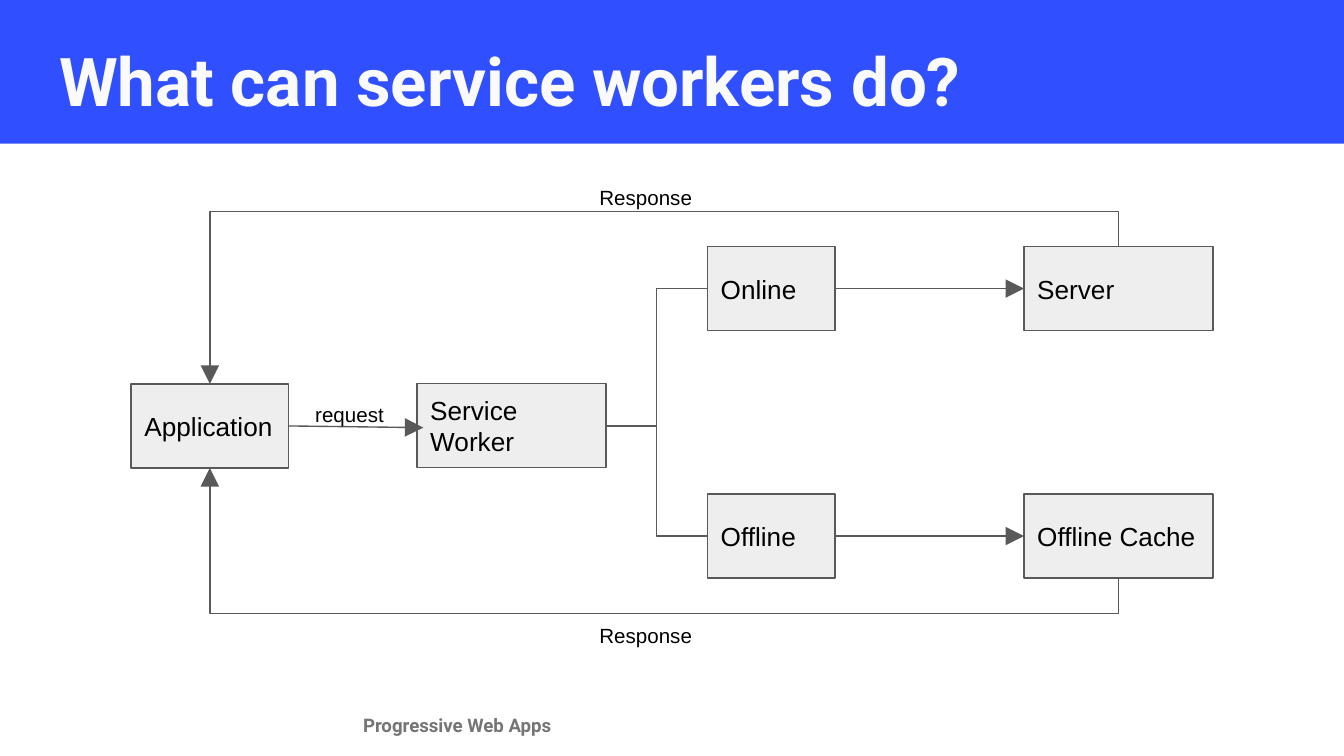
from dataclasses import dataclass

from lxml.etree import SubElement
from pptx import Presentation
from pptx.dml.color import RGBColor
from pptx.enum.shapes import MSO_CONNECTOR, MSO_SHAPE
from pptx.enum.text import MSO_ANCHOR, MSO_AUTO_SIZE, PP_ALIGN
from pptx.oxml.ns import qn
from pptx.util import Pt


@dataclass(frozen=True)
class Theme:
    band: str = "304FFE"
    title: str = "FAFAFA"
    footer: str = "757575"
    box: str = "EEEEEE"
    line: str = "595959"
    text: str = "000000"
    head_font: str = "Roboto"
    body_font: str = "Arial"
    title_size: float = 36
    box_size: float = 14
    label_size: float = 11
    footer_size: float = 10
    line_width: float = 0.75
    inset: float = 7.2


class Diagram:
    def __init__(self, slide, theme):
        self.s, self.t = slide, theme

    def _write(self, sp, text, size, color, font, bold=False, anchor=MSO_ANCHOR.TOP):
        tf = sp.text_frame
        tf.text = text
        tf.word_wrap = True
        tf.auto_size = MSO_AUTO_SIZE.NONE
        tf.vertical_anchor = anchor
        tf.margin_left = tf.margin_right = Pt(self.t.inset)
        tf.margin_top = tf.margin_bottom = Pt(self.t.inset)
        p = tf.paragraphs[0]
        p.alignment = PP_ALIGN.LEFT
        f = p.runs[0].font
        f.name, f.size, f.bold = font, Pt(size), bold
        f.color.rgb = RGBColor.from_string(color)

    def _rect(self, x, y, w, h, fill):
        sp = self.s.shapes.add_shape(MSO_SHAPE.RECTANGLE, Pt(x), Pt(y), Pt(w), Pt(h))
        sp.shadow.inherit = False
        sp.fill.solid()
        sp.fill.fore_color.rgb = RGBColor.from_string(fill)
        return sp

    def title(self, text, x, y, w, h):
        sp = self.s.shapes.title
        sp.left, sp.top, sp.width, sp.height = Pt(x), Pt(y), Pt(w), Pt(h)
        self._write(sp, text, self.t.title_size, self.t.title, self.t.head_font, True)

    def band(self, x, y, w, h):
        sp = self._rect(x, y, w, h, self.t.band)
        sp.line.fill.background()
        self.s.shapes.title._element.addprevious(sp._element)

    def footer(self, text, x, y, w, h):
        sp = self.s.shapes.add_textbox(Pt(x), Pt(y), Pt(w), Pt(h))
        self._write(sp, text, self.t.footer_size, self.t.footer, self.t.head_font, True)

    def box(self, text, x, y, w, h):
        sp = self._rect(x, y, w, h, self.t.box)
        sp.line.color.rgb = RGBColor.from_string(self.t.line)
        sp.line.width = Pt(self.t.line_width)
        self._write(sp, text, self.t.box_size, self.t.text, self.t.body_font,
                    anchor=MSO_ANCHOR.MIDDLE)

    def label(self, text, x, y, w, h, anchor=MSO_ANCHOR.MIDDLE):
        sp = self.s.shapes.add_textbox(Pt(x), Pt(y), Pt(w), Pt(h))
        self._write(sp, text, self.t.label_size, self.t.text, self.t.body_font, anchor=anchor)

    def connector(self, x1, y1, x2, y2, kind=MSO_CONNECTOR.STRAIGHT, arrow=False):
        c = self.s.shapes.add_connector(kind, Pt(x1), Pt(y1), Pt(x2), Pt(y2))
        c.line.color.rgb = RGBColor.from_string(self.t.line)
        c.line.width = Pt(self.t.line_width)
        pr = c._element.spPr
        if arrow:
            SubElement(pr.find(qn("a:ln")), qn("a:tailEnd"), type="triangle", w="lg", len="lg")
        SubElement(pr, qn("a:effectLst"))
        return c

    def loop(self, x1, y1, x2, y2, via_y):
        """Bent arrow from right to left that runs along via_y."""
        # The frame is laid on its side about the midpoint, then turned 90 degrees
        cx, cy = (x1 + x2) / 2, (y1 + y2) / 2
        dx, dy = (x1 - x2) / 2, (y2 - y1) / 2
        c = self.connector(cx - dy, cy - dx, cx + dy, cy + dx, MSO_CONNECTOR.ELBOW, True)
        pr = c._element.spPr
        pr.find(qn("a:xfrm")).set("rot", str(90 * 60000))
        geom = pr.find(qn("a:prstGeom"))
        guides = geom.find(qn("a:avLst"))
        if guides is None:
            guides = SubElement(geom, qn("a:avLst"))
        adj = round((via_y - y1) / (y2 - y1) * 100000)
        SubElement(guides, qn("a:gd"), name="adj1", fmla=f"val {adj}")


def main():
    prs = Presentation()
    prs.slide_width, prs.slide_height = Pt(720), Pt(405)
    d = Diagram(prs.slides.add_slide(prs.slide_layouts[5]), Theme())

    # Header and footer
    d.band(-0.5, -3, 721, 80)
    d.title("What can service workers do?", 24.5, 13.7, 671, 45.4)
    d.footer("Progressive Web Apps", 187.4, 375, 417, 18)

    # Columns and rows of the flow
    app_x, app_w = 70.3, 84.3
    worker_x, wide = 223.4, 101.3
    state_x, state_w = 379, 68.3
    target_x = 548.6
    box_h = 45
    online_y, app_y, offline_y = 132.1, 205.7, 264.7
    mid_y = app_y + box_h / 2
    app_mid, target_mid = app_x + app_w / 2, target_x + wide / 2

    # Boxes
    d.box("Application", app_x, app_y, app_w, box_h)
    d.box("Service Worker", worker_x, app_y - 0.2, wide, box_h)

    # Request, then one branch for each network state
    d.connector(app_x + app_w, mid_y, worker_x + 3.4, mid_y + 0.9, arrow=True)
    for state, target, y in (("Online", "Server", online_y),
                             ("Offline", "Offline Cache", offline_y)):
        row_y = y + box_h / 2
        d.box(state, state_x, y, state_w, box_h)
        d.box(target, target_x, y, wide, box_h)
        d.connector(worker_x + wide, mid_y, state_x, row_y, MSO_CONNECTOR.ELBOW)
        d.connector(state_x + state_w, row_y, target_x, row_y, arrow=True)

    # Responses back to the application
    gap = 18.9
    d.loop(target_mid, online_y, app_mid, app_y, online_y - gap)
    d.loop(target_mid, offline_y + box_h, app_mid, app_y + box_h, offline_y + box_h + gap)

    # Labels
    d.label("request", 161.8, 208, 55, 20, MSO_ANCHOR.TOP)
    for y in (98, 332.6):
        d.label("Response", 314, y, 75.6, 15)

    prs.save("out.pptx")


if __name__ == "__main__":
    main()
